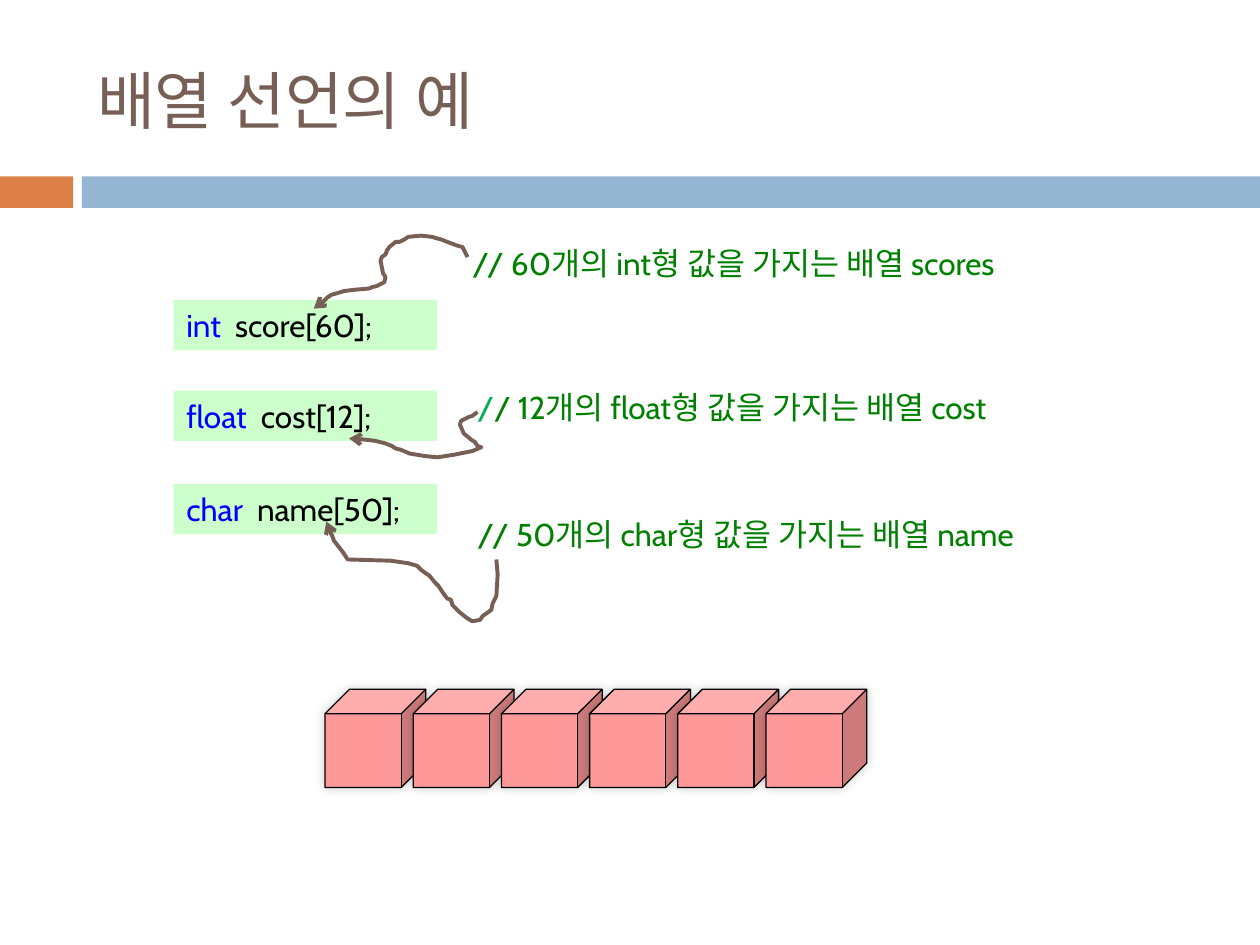
from dataclasses import dataclass

from lxml.etree import SubElement
from pptx import Presentation
from pptx.dml.color import RGBColor as Rgb
from pptx.enum.shapes import MSO_SHAPE as Preset
from pptx.enum.text import MSO_ANCHOR as Anchor, MSO_AUTO_SIZE as AutoSize, PP_ALIGN as Align
from pptx.oxml.ns import qn
from pptx.util import Pt

SCALE = 9144


@dataclass(frozen=True)
class Theme:
    """Colours, fonts and type sizes of the slide."""
    accent: str = "DD8047"
    band: str = "94B6D2"
    brown: str = "775F55"
    code_fill: str = "CCFFCC"
    keyword: str = "0000FF"
    black: str = "000000"
    comment: str = "008000"
    slash: str = "00B050"
    cube: str = "FF9999"
    title_font: str = "Calibri"
    body_font: str = "Cabin"
    title_size: int = 36
    body_size: int = 18
    arrow_width: float = 2.25
    cube_line: float = 0.75


THEME = Theme()

DECLARATIONS = [
    ((138, 238, 209, 40), "int", "  score[60];"),
    ((138, 310, 209, 40), "float", "  cost[12];"),
    ((138, 384, 209, 40), "char", "  name[50];"),
]

COMMENTS = [
    ((365, 189, 480, 40), [("// 60개의 int형 값을 가지는 배열 scores", THEME.comment)]),
    ((369, 303, 478, 40), [("/", THEME.slash), ("/ 12개의 float형 값을 가지는 배열 cost", THEME.comment)]),
    ((369, 404, 500, 40), [("// 50개의 char형 값을 가지는 배열 name", THEME.comment)]),
]

ARROWS = [
    ((249, 187), [
        (122, 17), (118, 9), (114, 8), (106, 5), (101, 3), (97, 2), (94, 1), (85, 0),
        (75, 1), (72, 3), (68, 5), (65, 5), (60, 9), (58, 12), (57, 15), (54, 17),
        (53, 20), (55, 30), (57, 33), (56, 37), (50, 40), (46, 41), (44, 42), (32, 43),
        (24, 44), (21, 45), (14, 47), (11, 49), (5, 55), (0, 58)]),
    ((277, 327), [
        (102, 0), (98, 3), (95, 4), (89, 7), (88, 10), (91, 17), (97, 22), (100, 24),
        (102, 27), (105, 28), (98, 31), (83, 34), (70, 36), (60, 35), (48, 33), (41, 30),
        (37, 29), (34, 27), (29, 25), (21, 23), (13, 22), (0, 21)]),
    ((259, 414), [
        (135, 30), (136, 42), (135, 59), (132, 65), (131, 70), (124, 75), (122, 78),
        (116, 79), (114, 78), (111, 76), (106, 72), (100, 66), (99, 62), (96, 61),
        (93, 57), (89, 51), (86, 48), (82, 43), (79, 41), (75, 38), (72, 35), (65, 33),
        (51, 31), (17, 30), (13, 24), (6, 15), (5, 12), (0, 1), (0, 0)]),
]


def px(*lengths):
    """Turn px lengths into EMU."""
    return [length * SCALE for length in lengths]


def style_run(run, font, size, color):
    """Set the font, size and colour of a run."""
    run.font.name = font
    run.font.size = Pt(size)
    run.font.color.rgb = Rgb.from_string(color)


def add_block(slide, preset, box, fill):
    """Add a flat filled preset shape without a line."""
    shape = slide.shapes.add_shape(preset, *px(*box))
    shape.shadow.inherit = False
    shape.fill.solid()
    shape.fill.fore_color.rgb = Rgb.from_string(fill)
    shape.line.fill.background()
    return shape


def write_line(shape, parts):
    """Write one left-aligned line of coloured parts."""
    frame = shape.text_frame
    frame.word_wrap = True
    frame.auto_size = AutoSize.SHAPE_TO_FIT_TEXT
    frame.vertical_anchor = Anchor.TOP
    paragraph = frame.paragraphs[0]
    paragraph.alignment = Align.LEFT
    for text, color in parts:
        run = paragraph.add_run()
        run.text = text
        style_run(run, THEME.body_font, THEME.body_size, color)


def add_header(slide, box):
    """Place the title and the two-coloured band below it."""
    left, top, width, height = box
    add_block(slide, Preset.RECTANGLE, (left, top + 140, 58, 25), THEME.accent)
    add_block(slide, Preset.RECTANGLE, (left + 65, top + 140, width - 65, 25), THEME.band)
    title = slide.shapes.title
    title.left, title.top, title.width, title.height = px(left + 67, top + 25, 892, 108)
    title.text_frame.text = "배열 선언의 예"
    title.text_frame.vertical_anchor = Anchor.MIDDLE
    paragraph = title.text_frame.paragraphs[0]
    paragraph.alignment = Align.LEFT
    style_run(paragraph.runs[0], THEME.title_font, THEME.title_size, THEME.brown)


def add_declaration(slide, box, keyword, rest):
    """Place one declaration on a green block."""
    shape = add_block(slide, Preset.RECTANGLE, box, THEME.code_fill)
    write_line(shape, [(keyword, THEME.keyword), (rest, THEME.black)])


def add_comment(slide, box, parts):
    """Place one explanatory comment."""
    write_line(slide.shapes.add_textbox(*px(*box)), parts)


def add_arrow(slide, origin, points):
    """Draw a hand-drawn arrow through points relative to its origin."""
    builder = slide.shapes.build_freeform(*points[0], scale=SCALE)
    builder.add_line_segments(points[1:], close=False)
    shape = builder.convert_to_shape(*px(*origin))
    shape.shadow.inherit = False
    shape.fill.background()
    shape.line.color.rgb = Rgb.from_string(THEME.brown)
    shape.line.width = Pt(THEME.arrow_width)
    line = shape.line._get_or_add_ln()
    SubElement(line, qn("a:round"))
    SubElement(line, qn("a:tailEnd"), type="arrow")


def add_soft_shadow(shape):
    """Give a shape a faint blurred shadow."""
    effects = shape._element.spPr.find(qn("a:effectLst"))
    shadow = SubElement(effects, qn("a:outerShdw"), blurRad=str(Pt(6)), dist="0",
                        dir=str(315 * 60000), algn="tl", rotWithShape="0")
    color = SubElement(shadow, qn("a:srgbClr"), val=THEME.black)
    SubElement(color, qn("a:alpha"), val="20000")


def add_cube_row(slide, box, count, pitch):
    """Place a row of overlapping cubes as array elements."""
    left, top, width, height = box
    for index in range(count):
        cube = add_block(slide, Preset.CUBE, (left + index * pitch, top, width, height), THEME.cube)
        cube.line.color.rgb = Rgb.from_string(THEME.black)
        cube.line.width = Pt(THEME.cube_line)
        add_soft_shadow(cube)


def main():
    """Build the slide and save it."""
    presentation = Presentation()
    presentation.slide_width, presentation.slide_height = px(1000, 750)
    slide = presentation.slides.add_slide(presentation.slide_layouts[5])
    add_header(slide, (0, 0, 1000, 165))
    for declaration in DECLARATIONS:
        add_declaration(slide, *declaration)
    for comment in COMMENTS:
        add_comment(slide, *comment)
    for arrow in ARROWS:
        add_arrow(slide, *arrow)
    add_cube_row(slide, (258, 547, 80, 78), count=6, pitch=70)
    presentation.save("out.pptx")


if __name__ == "__main__":
    main()
